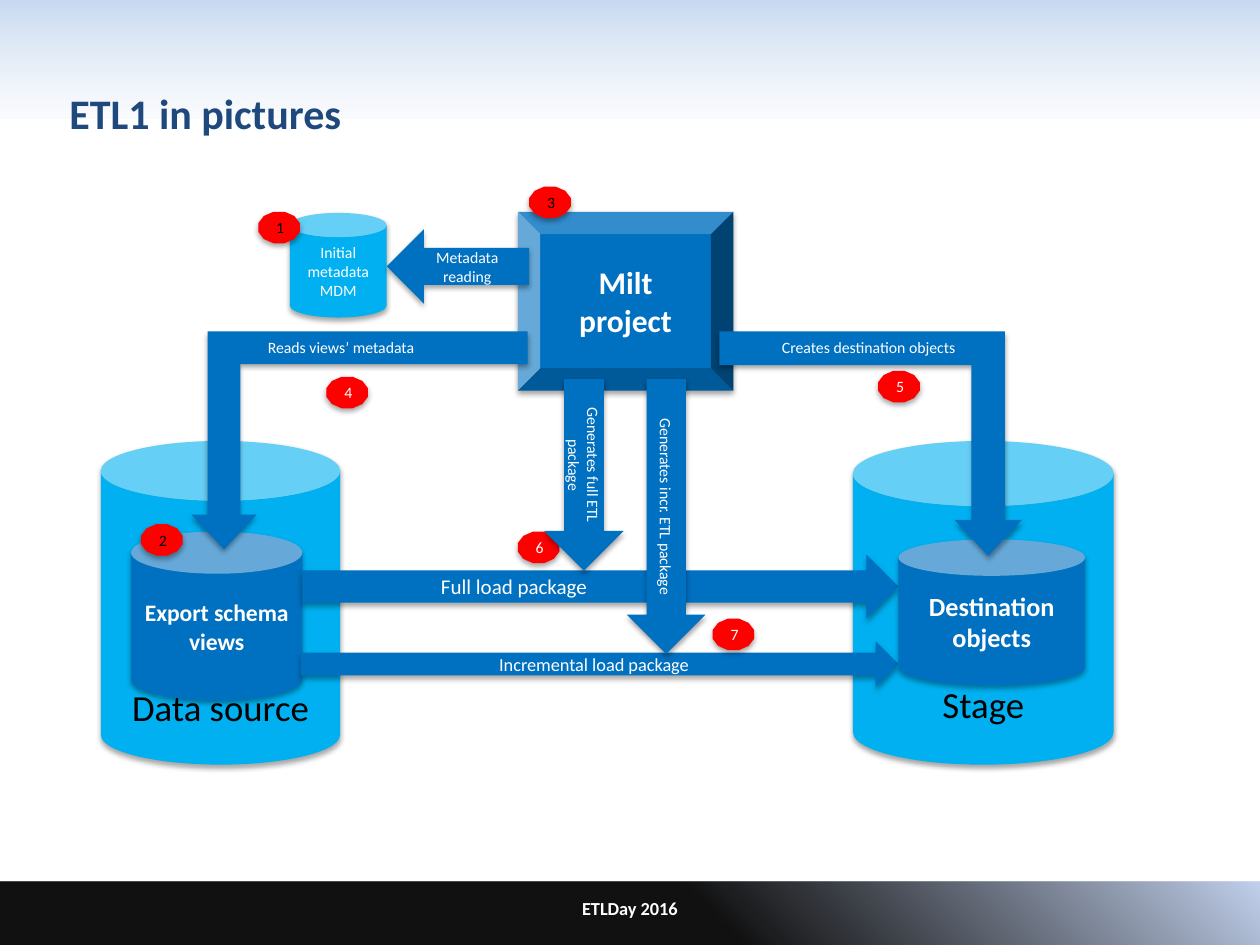
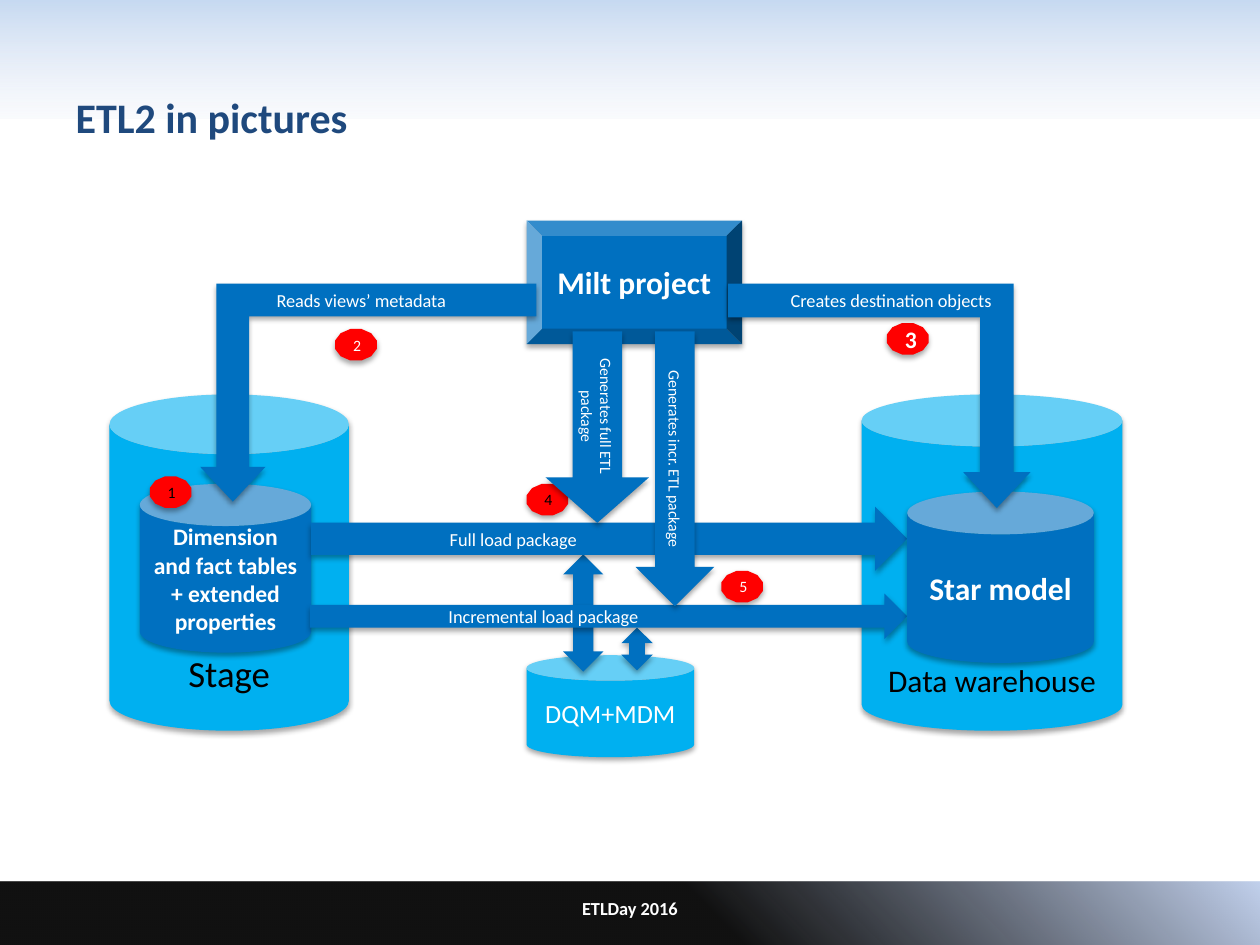
from lxml.etree import SubElement
from pptx import Presentation
from pptx.dml.color import RGBColor
from pptx.enum.shapes import MSO_SHAPE as Form
from pptx.enum.text import MSO_ANCHOR as Anchor, PP_ALIGN as Align
from pptx.oxml import parse_xml
from pptx.oxml.ns import nsdecls, qn
from pptx.util import Pt

COLORS = {
    "title": "1F497D", "store": "00B0F0", "flow": "0070C0", "badge": "FF0000",
    "dark": "000000", "light": "FFFFFF",
    "mist": "DCE6F2", "sky": "C6D9F1", "haze": "E1E8F5", "steel": "C2D1ED",
}
FONT = "Calibri"
TOP_STOPS = [(0, "mist", 41), (0, "sky", 100), (100, "haze", 16)]
FOOTER_STOPS = [(56, "dark", 93), (100, "steel", 100), (100, "haze", 16)]
BENT_ADJUST = (0.15, 0.15, 0.16)


class Canvas:
    """Holds the deck style and draws on the current slide, shifted by its origin."""

    def __init__(self):
        self.deck = Presentation()
        self.deck.slide_width, self.deck.slide_height = Pt(720), Pt(540)
        self.page = None
        self.dx = self.dy = 0

    def start(self, title, left, top, width, height, origin=(0, 0)):
        self.page = self.deck.slides.add_slide(self.deck.slide_layouts[5])
        self.dx = self.dy = 0
        if len(self.deck.slides) == 1:
            self.decorate_master()
        box = self.page.shapes.title
        box.left, box.top, box.width, box.height = map(Pt, (left, top, width, height))
        self.set_text(box, title, 24, "title", True, align=Align.LEFT)
        self.dx, self.dy = origin

    def decorate_master(self):
        parts = [
            self.band(0, 67.5, TOP_STOPS, 90),
            self.band(503.7, 36.5, FOOTER_STOPS, 315),
            self.label("ETLDay 2016", 201, 504, 318, 30, 10.5, True,
                       Anchor.MIDDLE, Align.CENTER),
        ]
        for number, part in enumerate(parts, 101):
            part.element.nvSpPr.cNvPr.set("id", str(number))
            self.deck.slide_master.shapes.element.append(part.element)

    def set_text(self, box, text, size, color="light", bold=False,
                 anchor=Anchor.MIDDLE, align=Align.CENTER):
        frame = box.text_frame
        frame.word_wrap = True
        frame.vertical_anchor = anchor
        frame.text = text
        for para in frame.paragraphs:
            para.alignment = align
            para.font.name, para.font.size, para.font.bold = FONT, Pt(size), bold
            para.font.color.rgb = RGBColor.from_string(COLORS[color])

    def band(self, top, height, stops, angle):
        box = self.page.shapes.add_shape(Form.RECTANGLE, 0, Pt(top), Pt(720), Pt(height))
        box.shadow.inherit = False
        box.line.fill.background()
        marks = "".join(
            f'<a:gs pos="{spot * 1000}"><a:srgbClr val="{COLORS[color]}">'
            f'<a:alpha val="{alpha * 1000}"/></a:srgbClr></a:gs>'
            for spot, color, alpha in stops)
        gradient = parse_xml(
            f'<a:gradFill {nsdecls("a")} rotWithShape="1"><a:gsLst>{marks}</a:gsLst>'
            f'<a:lin ang="{angle * 60000}" scaled="0"/></a:gradFill>')
        box.element.spPr.find(qn("a:prstGeom")).addnext(gradient)
        return box

    def label(self, text, left, top, width, height, size, bold=False,
              anchor=Anchor.TOP, align=Align.LEFT):
        box = self.page.shapes.add_textbox(
            Pt(left + self.dx), Pt(top + self.dy), Pt(width), Pt(height))
        self.set_text(box, text, size, "light", bold, anchor, align)
        frame = box.text_frame
        frame.margin_left = frame.margin_right = Pt(5.4)
        frame.margin_top = frame.margin_bottom = Pt(2.7)
        return box

    def shape(self, form, left, top, width, height, fill="flow", adjust=()):
        box = self.page.shapes.add_shape(
            form, Pt(left + self.dx), Pt(top + self.dy), Pt(width), Pt(height))
        box.fill.solid()
        box.fill.fore_color.rgb = RGBColor.from_string(COLORS[fill])
        box.line.fill.background()
        for index, value in enumerate(adjust):
            box.adjustments[index] = value
        self.cast_shadow(box)
        return box

    def cast_shadow(self, box):
        box.shadow.inherit = False
        effects = box.element.spPr.find(qn("a:effectLst"))
        shadow = SubElement(effects, qn("a:outerShdw"), blurRad=str(Pt(3.1)),
                            dist=str(Pt(1.8)), dir="5400000", rotWithShape="0")
        color = SubElement(shadow, qn("a:srgbClr"), val=COLORS["dark"])
        SubElement(color, qn("a:alpha"), val="35000")

    def block(self, form, text, left, top, width, height, size, bold=True, adjust=()):
        box = self.shape(form, left, top, width, height, "flow", adjust)
        self.set_text(box, text, size, bold=bold)

    def system(self, name, left, top, width, height, size, adjust=()):
        box = self.shape(Form.CAN, left, top, width, height, "store", adjust)
        self.set_text(box, name, size, "dark", anchor=Anchor.BOTTOM)

    def helper_store(self, name, left, top, width, height, size):
        box = self.shape(Form.CAN, left, top, width, height, "store")
        self.set_text(box, name, size)

    def badge(self, number, left, top, color="light", size=9, bold=False):
        box = self.shape(Form.DODECAGON, left, top, 23.8, 18, "badge")
        self.set_text(box, str(number), size, color, bold)

    def load_arrow(self, text, left, top, width, height, size, centred=False):
        box = self.shape(Form.RIGHT_ARROW, left, top, width, height)
        self.set_text(box, text, size, align=Align.CENTER if centred else Align.LEFT)
        if not centred:
            box.text_frame.margin_left = Pt(79.2)

    def generate_arrow(self, text, left, top, width, height,
                       anchor=Anchor.MIDDLE, adjust=()):
        box = self.shape(Form.DOWN_ARROW, left, top, width, height, adjust=adjust)
        self.set_text(box, text, 9, anchor=anchor)
        box.element.txBody.find(qn("a:bodyPr")).set("vert", "vert")

    def bent_arrow(self, text, at, label_at, size, mirrored=False):
        box = self.shape(Form.BENT_UP_ARROW, *at, adjust=BENT_ADJUST)
        frame = box.element.spPr.find(qn("a:xfrm"))
        frame.set("flipV", "1")
        if mirrored:
            frame.set("flipH", "1")
        self.label(text, *label_at, size)

    def source_objects(self, text, number):
        self.block(Form.CAN, text, 74.9, 303.8, 97.9, 96.5, 13.5, adjust=(0.25,))
        self.badge(number, 80.6, 299.5, "dark")

    def full_load(self, number, badge_color, size, arrow_at, **arrow_style):
        self.load_arrow("Full load package", 172.8, 316.8, 340.6, 36.7, size)
        self.badge(number, 295.9, 303.8, badge_color)
        self.generate_arrow("Generates full ETL package", *arrow_at, **arrow_style)

    def incremental_load(self, number, centred):
        self.load_arrow("Incremental load package", 172.1, 366.5, 341.3, 25.9,
                        10.5, centred)
        self.badge(number, 407.2, 353.5)
        self.generate_arrow("Generates incr. ETL package", 358.2, 216.7, 45, 157)

    def read_metadata(self, number, label_size):
        self.badge(number, 186.5, 215.3)
        self.bent_arrow("Reads views’ metadata", (109.4, 189.4, 192.2, 124.6),
                        (147.6, 190.1, 111.6, 24.5), label_size, mirrored=True)

    def create_destination(self, text, height, text_size, label_size, number,
                           **badge_style):
        self.block(Form.CAN, text, 513.4, 308.2, 106.6, height, text_size, adjust=(0.25,))
        self.badge(number, 501.8, 211.9, **badge_style)
        self.bent_arrow("Creates destination objects", (411.1, 189.4, 172.8, 128.2),
                        (441.4, 190.1, 131, 24.5), label_size)


def draw_first_stage(canvas):
    canvas.start("ETL1 in pictures", 32.4, 43.2, 648, 42.5)
    canvas.system("Data source", 57.6, 252, 136.8, 185, 21)
    canvas.system("Stage", 487.4, 252, 149, 185, 21)
    canvas.helper_store("Initial metadata\nMDM", 165.6, 121.7, 55.4, 59.8, 9)
    canvas.badge(1, 147.6, 121, "dark")
    canvas.source_objects("Export schema\nviews", 2)
    canvas.block(Form.BEVEL, "Milt project", 295.9, 121, 123.1, 102.2, 18)
    canvas.badge(3, 302.4, 106.6, "dark")
    canvas.block(Form.LEFT_ARROW, "Metadata reading", 221, 131, 81.4, 42.5, 9, bold=False)
    canvas.full_load(6, "light", 12, (311, 216.7, 45.4, 109.4))
    canvas.incremental_load(7, centred=True)
    canvas.read_metadata(4, 9)
    canvas.create_destination("Destination objects", 83.5, 15, 9, 5)


def draw_second_stage(canvas):
    canvas.start("ETL2 in pictures", 36, 21.6, 648, 90, origin=(5, -27.3))
    canvas.system("Stage", 57.6, 252.7, 136.8, 192.2, 21)
    canvas.system("Data warehouse", 487.4, 252.7, 149, 192.2, 18, (0.2,))
    canvas.source_objects("Dimension and fact tables + extended properties", 1)
    canvas.helper_store("DQM+MDM", 295.9, 401.7, 95.8, 58.3, 15)
    canvas.shape(Form.UP_DOWN_ARROW, 316.8, 344.1, 23, 67)
    canvas.shape(Form.UP_DOWN_ARROW, 350, 385.9, 18, 24.5)
    canvas.block(Form.BEVEL, "Milt project", 295.9, 153.3, 123.1, 70.6, 18)
    canvas.read_metadata(2, 10.5)
    canvas.full_load(4, "dark", 10.5, (306.8, 216.7, 59, 109.4),
                     anchor=Anchor.TOP, adjust=(0.48, 0.44))
    canvas.incremental_load(5, centred=False)
    canvas.create_destination("Star model", 97.9, 18, 10.5, 3, size=13.5, bold=True)


def main():
    canvas = Canvas()
    draw_first_stage(canvas)
    draw_second_stage(canvas)
    canvas.deck.save("out.pptx")


if __name__ == "__main__":
    main()
